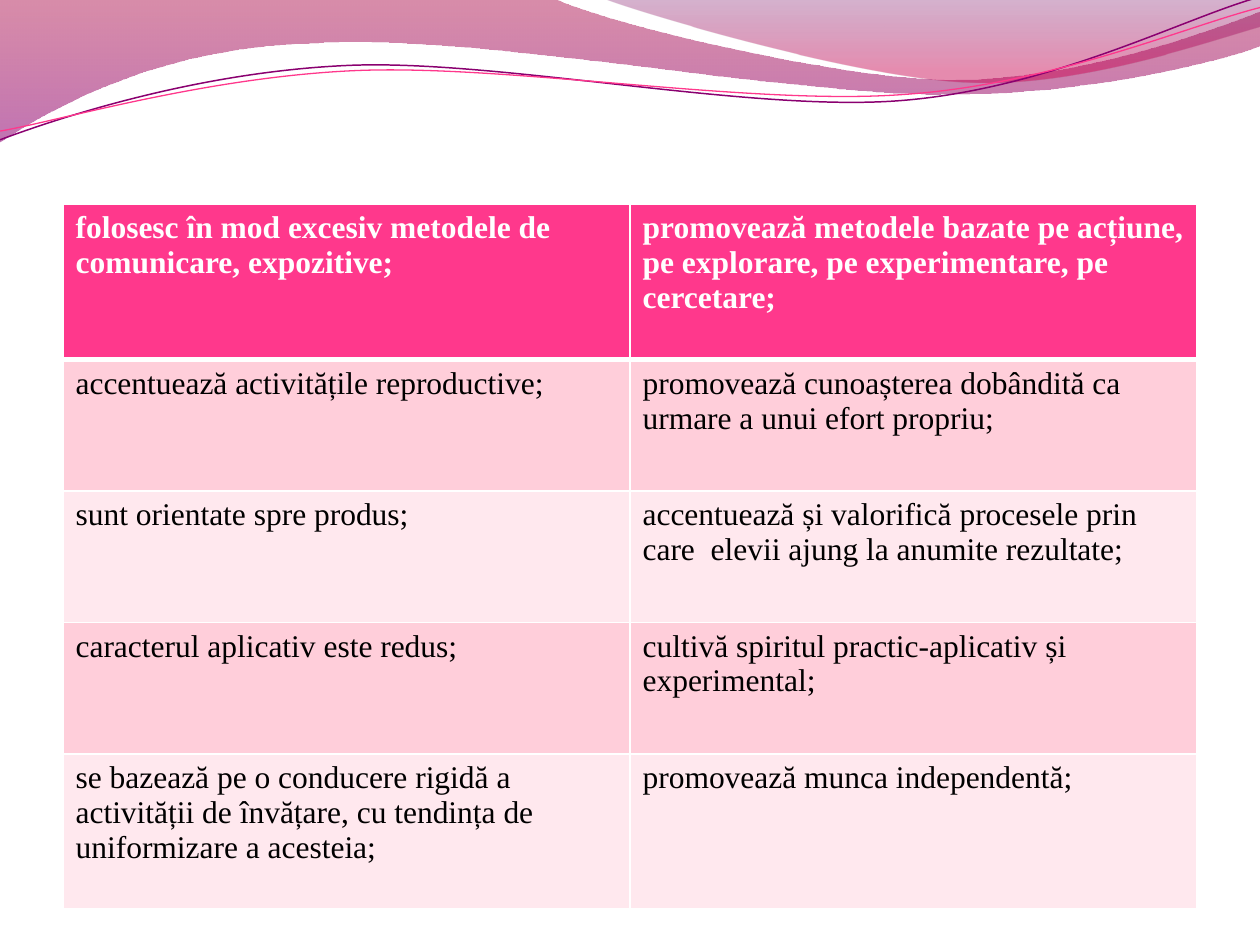
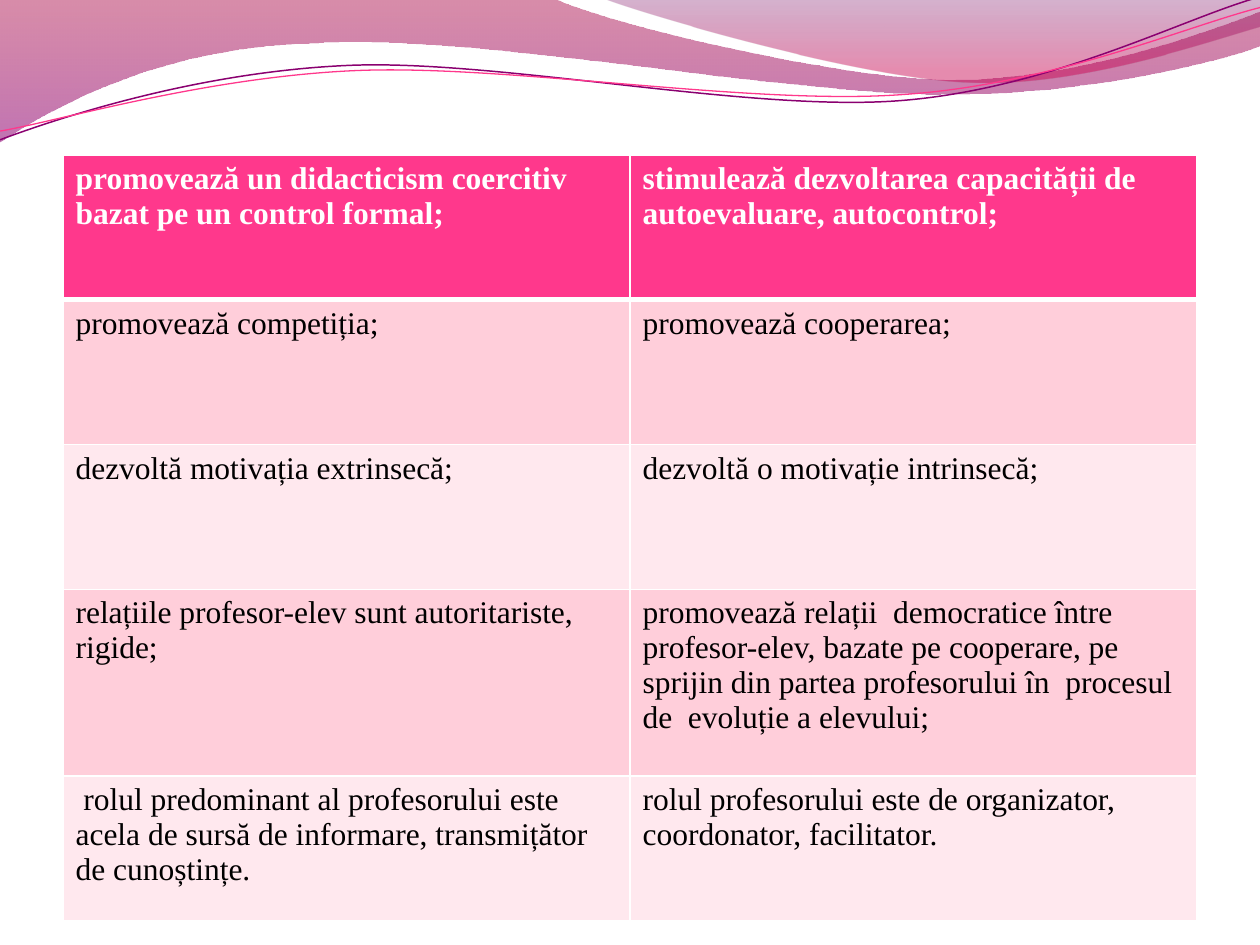
import pptx
import pptx.dml.color
import pptx.enum.text
import pptx.oxml.ns
import pptx.util
from lxml import etree

TABLES = [
    {
        "top": 116.7,
        "row_heights": [88.9, 75.1, 75.1, 75.1, 88.6],
        "rows": [
            ("folosesc în mod excesiv metodele de comunicare, expozitive;",
             "promovează metodele bazate pe acțiune, pe explorare, pe experimentare, pe cercetare;"),
            ("accentuează activitățile reproductive;",
             "promovează cunoașterea dobândită ca urmare a unui efort propriu;"),
            ("sunt orientate spre produs;",
             "accentuează și valorifică procesele prin care  elevii ajung la anumite rezultate;"),
            ("caracterul aplicativ este redus;",
             "cultivă spiritul practic-aplicativ și experimental;"),
            ("se bazează pe o conducere rigidă a activității de învățare, "
             "cu tendința de uniformizare a acesteia;",
             "promovează munca independentă;"),
        ],
    },
    {
        "top": 88.5,
        "row_heights": [82.8, 82.8, 82.8, 106.6, 82.8],
        "rows": [
            ("promovează un didacticism coercitiv bazat pe un control formal;",
             "stimulează dezvoltarea capacității de autoevaluare, autocontrol;"),
            ("promovează competiția;", "promovează cooperarea;"),
            ("dezvoltă motivația extrinsecă;", "dezvoltă o motivație intrinsecă;"),
            ("relațiile profesor-elev sunt autoritariste, rigide;",
             "promovează relații  democratice între profesor-elev, bazate pe cooperare, "
             "pe sprijin din partea profesorului în  procesul de  evoluție a elevului;"),
            (" rolul predominant al profesorului este acela de sursă de informare, "
             "transmițător de cunoștințe.",
             "rolul profesorului este de organizator, coordonator, facilitator."),
        ],
    },
]

# One point is a line; three points are a curve: two control points and an end.
# Gradient stops run from top to bottom: position, colour, opacity.
WAVES = [
    {"segments": [[(0, 0)], [(316.8, -0.7)],
                  [(342.7, 12.2), (478.1, 45.4), (545.8, 45.4)],
                  [(614.2, 45.4), (689.8, 18.7), (720, 6.5)], [(720.7, 25.9)],
                  [(707.8, 31.7), (626.4, 54.7), (537.1, 54)],
                  [(447.8, 54), (275, 20.2), (185, 24.5)],
                  [(92.9, 25.9), (33.1, 59.8), (-0.7, 81.4)]],
     "stops": [(0, "A90042", 0.45), (1, "8E0073", 0.55)]},
    {"segments": [[(344.9, -0.7)],
                  [(366.5, 7.9), (491, 44.6), (553.7, 46.8)],
                  [(616.3, 49.7), (691.9, 23), (720, 15.1)], [(720, 0)]],
     "stops": [(0, "73005E", 0.3), (0.8, "C9004F", 0.45)]},
    {"segments": [[(0, 79.9)],
                  [(34.6, 67), (113.8, 41), (199.4, 37.4)],
                  [(284.4, 33.8), (427, 64.1), (513.4, 57.6)],
                  [(599.8, 51.1), (675.4, 10.8), (718.6, -1.4)]],
     "line": ("8A0070", 0.85)},
    {"segments": [[(0, 74.9)],
                  [(33.8, 69.1), (118.1, 43.9), (203.8, 40.3)],
                  [(290.2, 36.7), (429.8, 60.5), (516.2, 54)],
                  [(601.9, 48.2), (677.5, 15.1), (720, 4.3)]],
     "line": ("FF388C", 0.75)},
]

FONT = "Times New Roman"
WHITE, BLACK = "FFFFFF", "000000"
HEADER_FILL = "FF388C"
BAND_FILLS = ["FFE8EE", "FFCEDA"]
TABLE_LEFT, COLUMN_WIDTH = 36, 324
THIN_BORDER, HEADER_BORDER = 1, 3

Pt = pptx.util.Pt
qn = pptx.oxml.ns.qn


def color(value):
    return pptx.dml.color.RGBColor.from_string(value)


def build_outline(slide, segments, close):
    """Build a freeform through all points, then join each curve's three points."""
    points = [(Pt(x), Pt(y)) for segment in segments for x, y in segment]
    builder = slide.shapes.build_freeform(*points[0])
    builder.add_line_segments(points[1:], close=close)
    outline = builder.convert_to_shape()
    lines = iter(list(outline.element.spPr.iter(qn("a:lnTo"))))
    for segment in segments[1:]:
        parts = [next(lines) for _ in segment]
        if len(parts) == 1:
            continue
        curve = etree.Element(qn("a:cubicBezTo"))
        parts[0].addprevious(curve)
        for part in parts:
            curve.append(part[0])
            part.getparent().remove(part)
    return outline


def draw_wave(slide, segments, stops=None, line=None):
    wave = build_outline(slide, segments, close=stops is not None)
    wave.shadow.inherit = False
    if line:
        wave.fill.background()
        wave.line.color.rgb = color(line[0])
        wave.line.width = Pt(line[1])
        return wave
    wave.line.fill.background()
    wave.fill.gradient()
    wave.fill.gradient_angle = 270
    for stop, (position, stop_color, _) in zip(wave.fill.gradient_stops, stops):
        stop.position = position
        stop.color.rgb = color(stop_color)
    stop_colors = list(wave.element.spPr.iter(qn("a:srgbClr")))
    for element, (_, _, opacity) in zip(stop_colors, stops):
        etree.SubElement(element, qn("a:alpha"), val=str(round(opacity * 100000)))
    return wave


def move_waves_to_layout(slide, layout):
    """Draw the waves on a slide, then make them part of its layout."""
    for placeholder in list(layout.placeholders):
        layout.shapes.element.remove(placeholder.element)
    waves = [draw_wave(slide, **wave) for wave in WAVES]
    for wave in waves:
        layout.shapes.element.append(wave.element)


def write(frame, text, size=18, text_color=BLACK, bold=False):
    para = frame.paragraphs[0]
    para.alignment = pptx.enum.text.PP_ALIGN.LEFT
    span = para.add_run()
    span.text = text
    span.font.name = FONT
    span.font.size = Pt(size)
    span.font.bold = bold
    span.font.color.rgb = color(text_color)


def set_borders(cell, **widths):
    properties = cell._tc.get_or_add_tcPr()
    for side in "LRTB":
        width = widths.get(side, THIN_BORDER)
        border = etree.SubElement(properties, qn("a:ln" + side), w=str(Pt(width)))
        fill = etree.SubElement(border, qn("a:solidFill"))
        etree.SubElement(fill, qn("a:srgbClr"), val=WHITE)


def add_comparison(slide, top, row_heights, rows):
    columns = len(rows[0])
    table = slide.shapes.add_table(
        len(rows), columns, Pt(TABLE_LEFT), Pt(top),
        Pt(columns * COLUMN_WIDTH), Pt(sum(row_heights))).table
    for column in table.columns:
        column.width = Pt(COLUMN_WIDTH)
    for index, (texts, height) in enumerate(zip(rows, row_heights)):
        table.rows[index].height = Pt(height)
        is_header = index == 0
        for column, text in enumerate(texts):
            cell = table.cell(index, column)
            set_borders(cell,
                        T=HEADER_BORDER if index == 1 else THIN_BORDER,
                        B=HEADER_BORDER if is_header else THIN_BORDER)
            cell.fill.solid()
            cell.fill.fore_color.rgb = color(HEADER_FILL if is_header else BAND_FILLS[index % 2])
            write(cell.text_frame, text,
                  text_color=WHITE if is_header else BLACK, bold=is_header)


def main():
    deck = pptx.Presentation()
    deck.slide_width, deck.slide_height = Pt(720), Pt(540)
    layout = deck.slide_layouts.get_by_name("Blank")
    slides = [deck.slides.add_slide(layout) for _ in TABLES]
    move_waves_to_layout(slides[0], layout)
    for slide, comparison in zip(slides, TABLES):
        add_comparison(slide, **comparison)
    deck.save("out.pptx")


if __name__ == "__main__":
    main()
